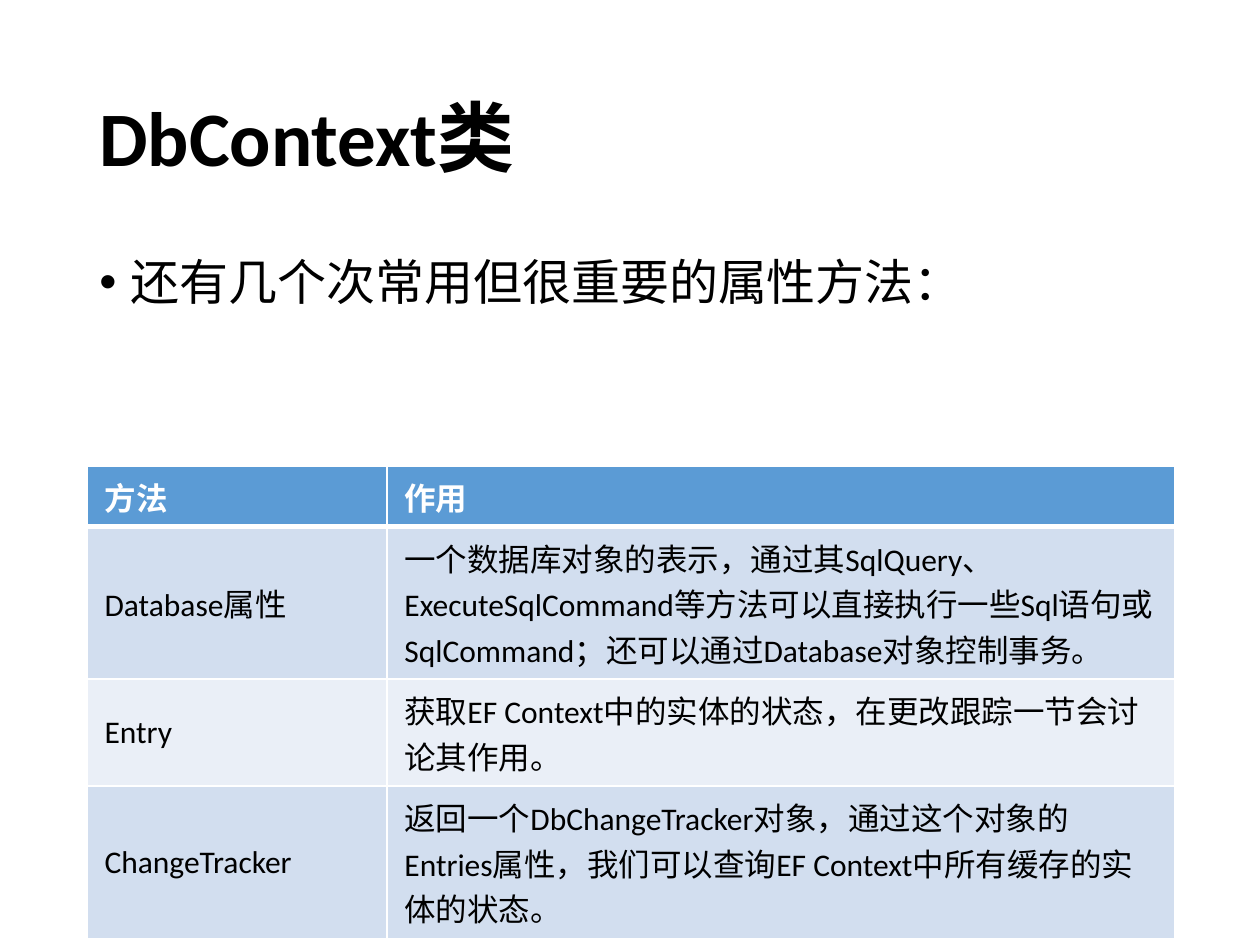
import pptx
import pptx.dml.color
import pptx.enum.text
import pptx.oxml
import pptx.oxml.ns
import pptx.util
from pptx.util import Inches

THEME = {
    "font": "Calibri",
    "ink": "000000",
    "paper": "FFFFFF",
    "header": "5B9BD5",
    "bands": ["D2DEEF", "EAEFF7"],
    "title_size": 44,
    "body_size": 28,
    "table_size": 18,
}
MIDDLE = pptx.enum.text.MSO_ANCHOR.MIDDLE


def write(paragraph, text, size, color, bold=False):
    run = paragraph.add_run()
    run.text = text
    font_format = {"name": THEME["font"], "size": pptx.util.Pt(size), "bold": bold}
    for key, value in font_format.items():
        setattr(run.font, key, value)
    run.font.color.rgb = pptx.dml.color.RGBColor.from_string(color)


def add_xml(parent, tag, attributes, content=""):
    namespace = pptx.oxml.ns.nsdecls("a")
    parent.append(pptx.oxml.parse_xml(f"<a:{tag} {namespace} {attributes}>{content}</a:{tag}>"))


deck = pptx.Presentation()
deck.slide_width, deck.slide_height = Inches(10), Inches(7.5)
slide = deck.slides.add_slide(deck.slide_layouts[6])

left, width = Inches(0.69), Inches(8.62)

title = slide.shapes.add_textbox(left, Inches(0.4), width, Inches(1.45)).text_frame
for key, value in {"word_wrap": True, "vertical_anchor": MIDDLE}.items():
    setattr(title, key, value)
title.paragraphs[0].line_spacing = 0.9
write(title.paragraphs[0], "DbContext类", THEME["title_size"], THEME["ink"], True)

body = slide.shapes.add_textbox(left, Inches(2), width, Inches(4.76)).text_frame
body.word_wrap = True
intro = body.paragraphs[0]
for key, value in {"line_spacing": 0.9, "space_before": pptx.util.Pt(10)}.items():
    setattr(intro, key, value)
write(intro, "还有几个次常用但很重要的属性方法：", THEME["body_size"], THEME["ink"])
intro_properties = intro._p.get_or_add_pPr()
intro_properties.set("marL", str(Inches(0.25)))
intro_properties.set("indent", str(-Inches(0.25)))
add_xml(intro_properties, "buFont", 'typeface="Arial"')
add_xml(intro_properties, "buChar", 'char="•"')

members = [
    ("方法", "作用"),
    ("Database属性", "一个数据库对象的表示，通过其SqlQuery、ExecuteSqlCommand等方法可以直接执行一些Sql语句或SqlCommand；还可以通过Database对象控制事务。"),
    ("Entry", "获取EF Context中的实体的状态，在更改跟踪一节会讨论其作用。"),
    ("ChangeTracker", "返回一个DbChangeTracker对象，通过这个对象的Entries属性，我们可以查询EF Context中所有缓存的实体的状态。"),
]
row_heights = [Inches(height) for height in (0.48, 1.21, 0.85, 1.21)]
member_table = slide.shapes.add_table(
    len(members), 2, left, Inches(3.7), width, sum(row_heights)
).table
for column, column_width in zip(member_table.columns, (2.38, 6.25)):
    column.width = Inches(column_width)

cell_format = {
    "vertical_anchor": MIDDLE,
    "margin_left": Inches(0.14),
    "margin_right": Inches(0.14),
    "margin_top": Inches(0.06),
    "margin_bottom": Inches(0.06),
}
border_fill = f'<a:solidFill><a:srgbClr val="{THEME["paper"]}"/></a:solidFill>'
for row, member in enumerate(members):
    is_header = row == 0
    member_table.rows[row].height = row_heights[row]
    fill = THEME["header"] if is_header else THEME["bands"][(row - 1) % 2]
    color = THEME["paper"] if is_header else THEME["ink"]
    border_points = {
        "lnL": 1,
        "lnR": 1,
        "lnT": 3 if row == 1 else 1,
        "lnB": 3 if is_header else 1,
    }
    for column, text in enumerate(member):
        cell = member_table.cell(row, column)
        for key, value in cell_format.items():
            setattr(cell, key, value)
        for side, points in border_points.items():
            add_xml(cell._tc.get_or_add_tcPr(), side, f'w="{pptx.util.Pt(points)}"', border_fill)
        cell.fill.solid()
        cell.fill.fore_color.rgb = pptx.dml.color.RGBColor.from_string(fill)
        write(cell.text_frame.paragraphs[0], text, THEME["table_size"], color, is_header)

deck.save("out.pptx")
